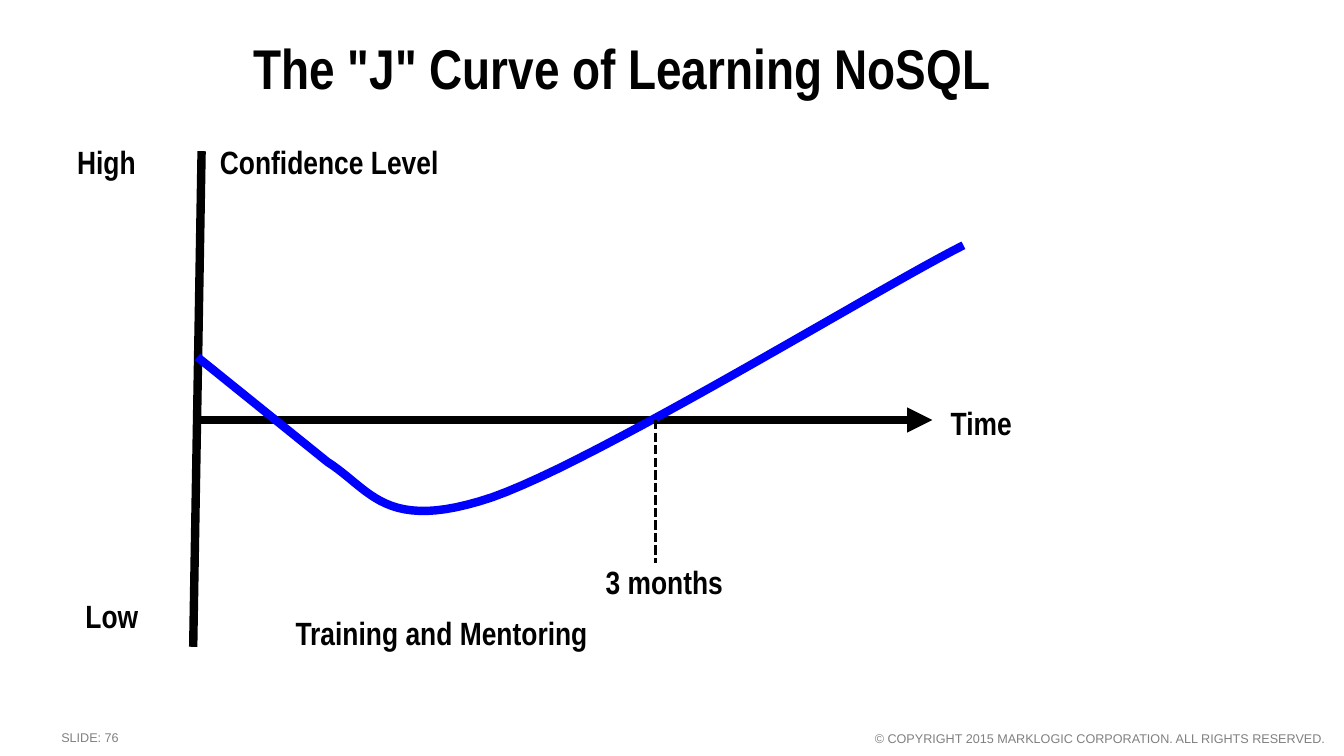
import pptx
import pptx.dml.color
import pptx.enum.dml
import pptx.enum.shapes
import pptx.enum.text
import pptx.oxml
import pptx.oxml.ns
import pptx.util

COLUMNS, ROWS = 160, 90  # twelve cells to the inch
CELL = pptx.util.Inches(1) / 12
ALIGN = pptx.enum.text.PP_ALIGN
INK, CURVE_BLUE, FOOTER_GREY = "010101", "0000FF", "808080"
LABEL_FONT = {"name": "Arial Narrow", "size": pptx.util.Pt(23), "bold": True}
TITLE_FONT = {**LABEL_FONT, "size": pptx.util.Pt(40)}
FOOTER_FONT = {"name": "Arial", "size": pptx.util.Pt(9), "bold": False}

LABELS = [
    ("Time", (112, 48, 12, 5), ALIGN.LEFT),
    ("Confidence Level", (25, 17, 12, 5), ALIGN.LEFT),
    ("High", (8, 17, 12, 5), ALIGN.LEFT),
    ("Low", (9, 71, 12, 5), ALIGN.LEFT),
    ("3 months", (70, 67, 17, 5), ALIGN.CENTER),
    ("Training and Mentoring", (26, 73, 52, 7), ALIGN.CENTER),
]
FOOTERS = [
    ("SLIDE: 76", (7.3, 86.9, 66, 2), ALIGN.LEFT),
    ("© COPYRIGHT 2015 MARKLOGIC CORPORATION. ALL RIGHTS RESERVED.",
     (103.3, 87, 54.4, 2), ALIGN.RIGHT),
]
CONFIDENCE_START = (23.5, 42.5)
CONFIDENCE_BENDS = [
    [(39, 55), (44.2, 58.3), (45.8, 63.5), (58.6, 59.2)],
    [(58.6, 59.2), (71.2, 54.8), (104.9, 34.1), (114.7, 29.2)],
]


def grid(*cells):
    return [pptx.util.Emu(round(cell * CELL)) for cell in cells]


def rgb(color):
    return pptx.dml.color.RGBColor.from_string(color)


def apply(target, settings):
    for attribute, value in settings.items():
        setattr(target, attribute, value)


def write(holder, text, font, color, align, inset=0.1, wrap=False):
    frame = holder.text_frame
    apply(frame, {
        "text": text,
        "word_wrap": wrap,
        "auto_size": pptx.enum.text.MSO_AUTO_SIZE.NONE,
        "vertical_anchor": pptx.enum.text.MSO_ANCHOR.TOP,
        "margin_left": pptx.util.Inches(inset),
        "margin_top": 0, "margin_right": 0, "margin_bottom": 0,
    })
    paragraph = frame.paragraphs[0]
    paragraph.alignment = align
    apply(paragraph.font, font)
    paragraph.font.color.rgb = rgb(color)


def add_title(slide, text, box):
    title = slide.shapes.title
    apply(title, dict(zip(("left", "top", "width", "height"), grid(*box))))
    write(title, text, TITLE_FONT, INK, ALIGN.LEFT, wrap=True)


def add_text(slide, text, box, align, font, color, inset):
    write(slide.shapes.add_textbox(*grid(*box)), text, font, color, align, inset)


def add_line(slide, start, end, weight=6, dash=None, arrow=False):
    line = slide.shapes.add_connector(
        pptx.enum.shapes.MSO_CONNECTOR.STRAIGHT, *grid(*start, *end))
    line.line.color.rgb = rgb(INK)
    apply(line.line, {"width": pptx.util.Pt(weight), "dash_style": dash})
    if arrow:
        line.line._get_or_add_ln().append(pptx.oxml.parse_xml(
            f'<a:tailEnd {pptx.oxml.ns.nsdecls("a")} type="triangle"/>'))
    line._element.spPr.append(pptx.oxml.parse_xml(
        f'<a:effectLst {pptx.oxml.ns.nsdecls("a")}/>'))


def bezier(points, steps=24):
    """Return points along a cubic Bezier curve, its first point included."""
    curve = []
    for step in range(steps + 1):
        t = step / steps
        weights = ((1 - t) ** 3, 3 * t * (1 - t) ** 2, 3 * t * t * (1 - t), t ** 3)
        curve.append(tuple(sum(w * value for w, value in zip(weights, axis))
                           for axis in zip(*points)))
    return curve


def add_curve(slide, start, bends):
    points = [grid(*point) for bend in bends for point in bezier(bend)]
    builder = slide.shapes.build_freeform(*grid(*start))
    builder.add_line_segments(points, close=False)
    curve = builder.convert_to_shape()
    curve.shadow.inherit = False
    curve.fill.background()
    curve.line.color.rgb = rgb(CURVE_BLUE)
    curve.line.width = pptx.util.Pt(6)


def main():
    deck = pptx.Presentation()
    deck.slide_width, deck.slide_height = grid(COLUMNS, ROWS)
    slide = deck.slides.add_slide(deck.slide_layouts.get_by_name("Title Only"))
    add_title(slide, 'The "J" Curve of Learning NoSQL', (29, 4, 93, 8))
    for text, box, align in FOOTERS:
        add_text(slide, text, box, align, FOOTER_FONT, FOOTER_GREY, inset=0)
    add_line(slide, (24, 18), (23, 77))
    add_line(slide, (23, 50), (111, 50), arrow=True)
    add_curve(slide, CONFIDENCE_START, CONFIDENCE_BENDS)
    add_line(slide, (78, 50), (78, 67), weight=2.25,
             dash=pptx.enum.dml.MSO_LINE.SQUARE_DOT)
    for text, box, align in LABELS:
        add_text(slide, text, box, align, LABEL_FONT, INK, inset=0.1)
    deck.save("out.pptx")


if __name__ == "__main__":
    main()
